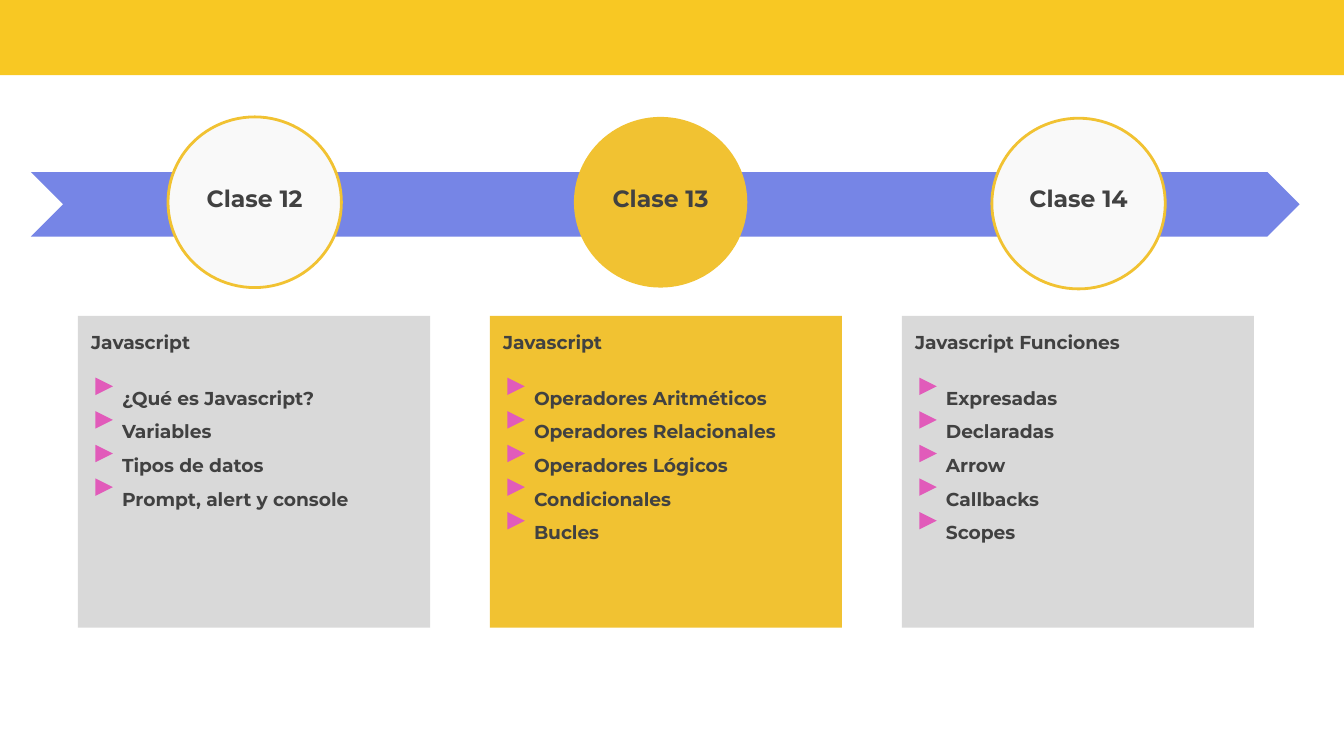
from dataclasses import dataclass

from pptx import Presentation
from pptx.dml.color import RGBColor as Rgb
from pptx.enum.shapes import MSO_SHAPE as Preset
from pptx.enum.text import PP_ALIGN as Align
from pptx.shapes.autoshape import Shape
from pptx.slide import Slide
from pptx.text.text import TextFrame, _Paragraph as Paragraph
from pptx.util import Inches, Pt


@dataclass(frozen=True)
class Theme:
    font: str = "Montserrat"
    label_size: float = 12.6
    body_size: float = 10
    ink: str = "414141"
    header: str = "F8C823"
    timeline: str = "7685E6"
    accent: str = "F1C232"
    circle: str = "F9F9F9"
    panel: str = "D9D9D9"
    marker: str = "E15BBA"


@dataclass(frozen=True)
class Lesson:
    label: str
    heading: str
    topics: tuple[str, ...]
    circle_left: float
    circle_top: float = 0.87
    current: bool = False


THEME = Theme()
LESSONS = (
    Lesson("Clase 12", "Javascript",
           ("¿Qué es Javascript?", "Variables", "Tipos de datos",
            "Prompt, alert y console"), 1.25),
    Lesson("Clase 13", "Javascript",
           ("Operadores Aritméticos", "Operadores Relacionales",
            "Operadores Lógicos", "Condicionales", "Bucles"), 4.27, current=True),
    Lesson("Clase 14", "Javascript Funciones",
           ("Expresadas", "Declaradas", "Arrow", "Callbacks", "Scopes"), 7.38, 0.88),
)
CIRCLE_WIDTH, CIRCLE_HEIGHT = 1.29, 1.27
LABEL_WIDTH, LABEL_TOP, LABEL_HEIGHT = 1.0, 1.27, 0.33
FIRST_PANEL, LAST_PANEL = 0.58, 6.71
PANEL_STEP = (LAST_PANEL - FIRST_PANEL) / (len(LESSONS) - 1)
PANEL_TOP, PANEL_WIDTH, PANEL_HEIGHT = 2.35, 2.62, 2.32
BODY_TOP = 2.36
MARKER_TOP, MARKER_STEP, MARKER_SIZE = 2.81, 0.25, 0.13
INSET = 0.1


def add_block(slide: Slide, preset: Preset, left: float, top: float,
              width: float, height: float, fill: str) -> Shape:
    block = slide.shapes.add_shape(
        preset, Inches(left), Inches(top), Inches(width), Inches(height))
    block.shadow.inherit = False
    block.fill.solid()
    block.fill.fore_color.rgb = Rgb.from_string(fill)
    block.line.fill.background()
    return block


def add_frame(slide: Slide, left: float, top: float,
              width: float, height: float) -> TextFrame:
    frame = slide.shapes.add_textbox(
        Inches(left), Inches(top), Inches(width), Inches(height)).text_frame
    frame.word_wrap = True
    frame.margin_left = frame.margin_right = Inches(INSET)
    frame.margin_top = frame.margin_bottom = Inches(INSET)
    return frame


def write(paragraph: Paragraph, words: str, size: float, align: Align) -> None:
    paragraph.text = words
    paragraph.alignment = align
    paragraph.font.name = THEME.font
    paragraph.font.size = Pt(size)
    paragraph.font.bold = True
    paragraph.font.color.rgb = Rgb.from_string(THEME.ink)


def add_circle(slide: Slide, lesson: Lesson) -> None:
    circle = add_block(slide, Preset.OVAL, lesson.circle_left, lesson.circle_top,
                       CIRCLE_WIDTH, CIRCLE_HEIGHT,
                       THEME.accent if lesson.current else THEME.circle)
    if not lesson.current:
        circle.line.color.rgb = Rgb.from_string(THEME.accent)
        circle.line.width = Pt(1.5)
    label = add_frame(slide, lesson.circle_left + (CIRCLE_WIDTH - LABEL_WIDTH) / 2,
                      LABEL_TOP, LABEL_WIDTH, LABEL_HEIGHT)
    write(label.paragraphs[0], lesson.label, THEME.label_size, Align.CENTER)


def add_panel(slide: Slide, lesson: Lesson, left: float) -> None:
    add_block(slide, Preset.RECTANGLE, left, PANEL_TOP, PANEL_WIDTH, PANEL_HEIGHT,
              THEME.accent if lesson.current else THEME.panel)
    body = add_frame(slide, left, BODY_TOP, PANEL_WIDTH, PANEL_HEIGHT)
    write(body.paragraphs[0], lesson.heading, THEME.body_size, Align.LEFT)
    body.paragraphs[0].space_after = Pt(12)
    for row, topic in enumerate(lesson.topics):
        item = body.add_paragraph()
        write(item, topic, THEME.body_size, Align.LEFT)
        item.line_spacing = 1.5
        item._p.get_or_add_pPr().set("marL", str(Inches(0.23)))
        marker = add_block(slide, Preset.ISOSCELES_TRIANGLE, left + 0.13,
                           MARKER_TOP + row * MARKER_STEP,
                           MARKER_SIZE, MARKER_SIZE, THEME.marker)
        marker.rotation = 90


def main() -> None:
    deck = Presentation()
    deck.slide_width = Inches(10)
    deck.slide_height = deck.slide_width * 9 // 16
    slide = deck.slides.add_slide(deck.slide_layouts[6])
    add_block(slide, Preset.RECTANGLE, -0.01, -0.05, 10.03, 0.61, THEME.header)
    add_block(slide, Preset.CHEVRON, 0.23, 1.28, 9.44, 0.48, THEME.timeline)
    for column, lesson in enumerate(LESSONS):
        add_circle(slide, lesson)
        add_panel(slide, lesson, FIRST_PANEL + column * PANEL_STEP)
    deck.save("out.pptx")


if __name__ == "__main__":
    main()
